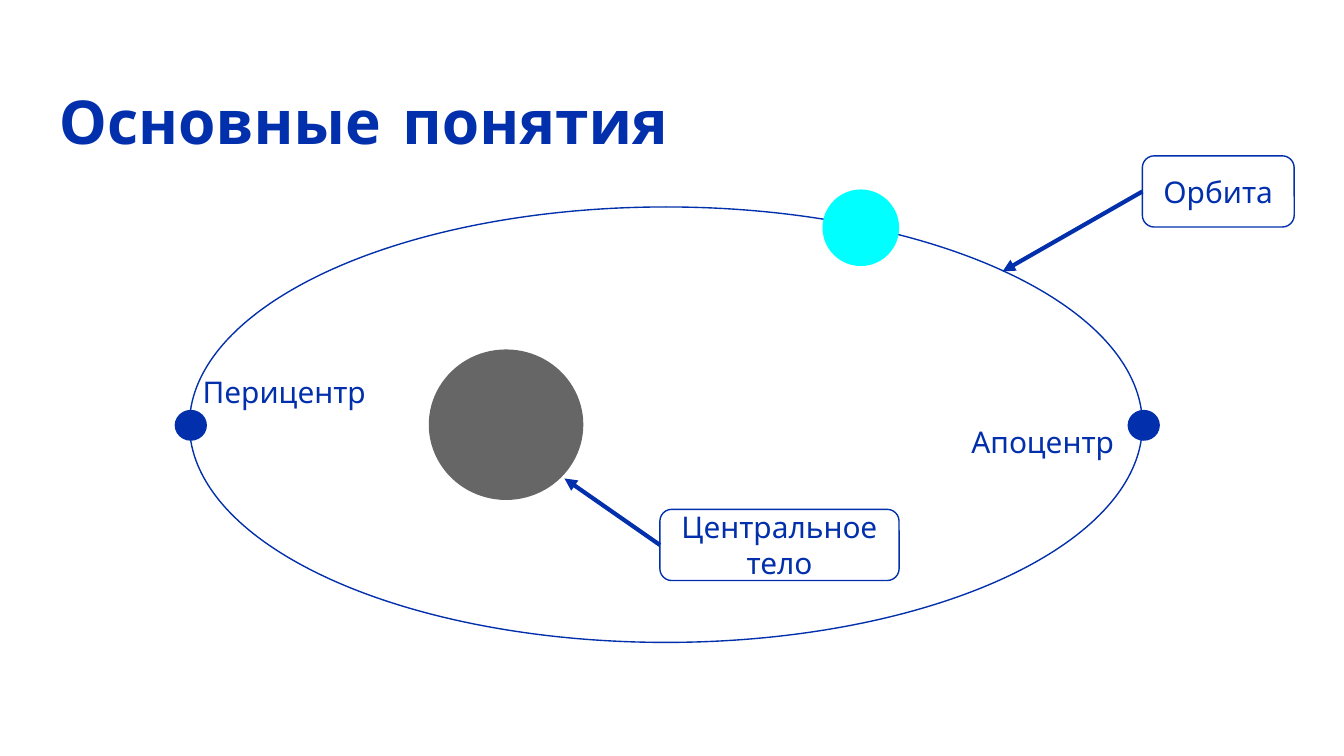
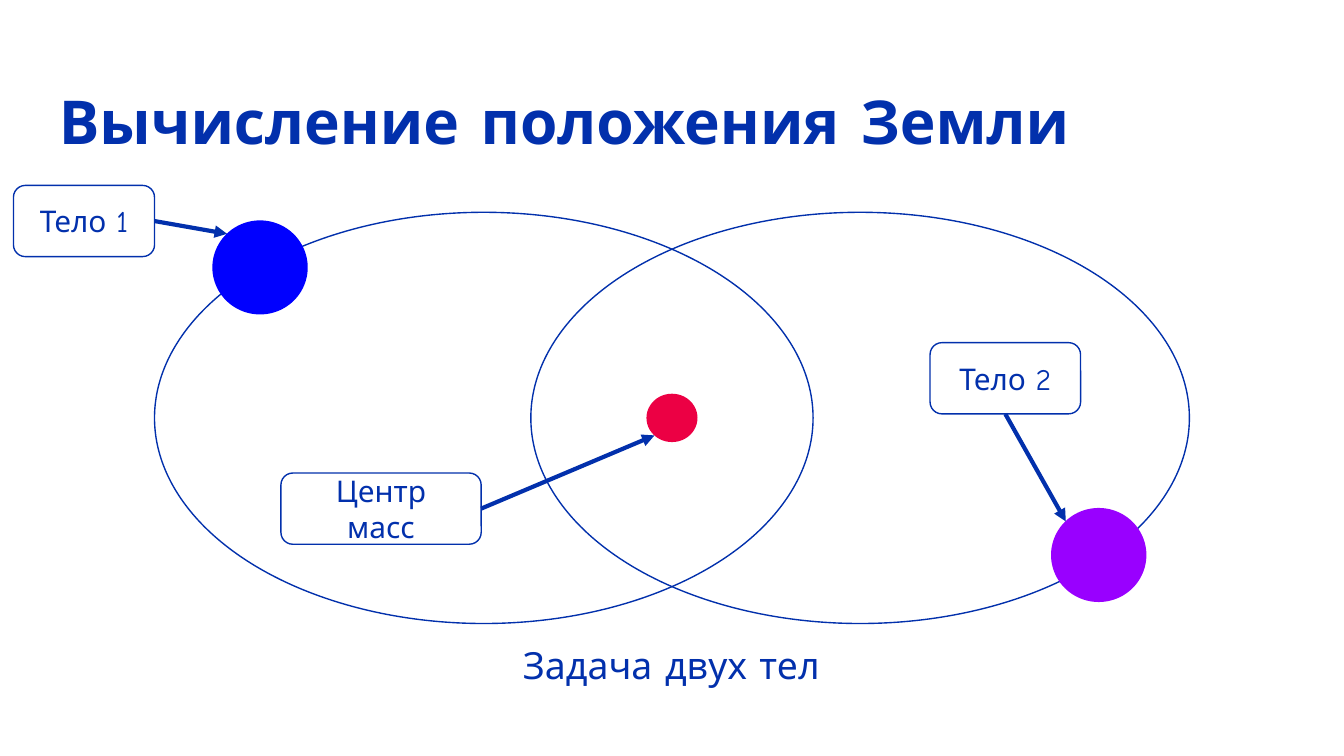
from dataclasses import dataclass
from typing import Optional

from lxml.etree import SubElement
from pptx import Presentation
from pptx.dml.color import RGBColor as RGB
from pptx.enum.shapes import MSO_CONNECTOR as LINK, MSO_SHAPE as SHAPE
from pptx.enum.text import MSO_ANCHOR as ANCHOR, PP_ALIGN as ALIGN
from pptx.oxml.ns import qn
from pptx.shapes.autoshape import Shape
from pptx.slide import Slide
from pptx.text.text import TextFrame
from pptx.util import Inches, Pt

FONT = "Comic Neue"
COLORS = {
    "ink": "0230AC",
    "white": "FFFFFF",
    "gray": "666666",
    "cyan": "00FFFF",
    "red": "EC0044",
    "blue": "0000FF",
    "violet": "9900FF",
}
THIN, THICK = 0.75, 2.25
BOX_H = 0.53
LABEL_H = 0.47
# Connection sites of a rounded rectangle
LEFT, BOTTOM, RIGHT = 1, 2, 3


@dataclass
class Oval:
    x: float
    y: float
    w: float
    h: float
    fill: Optional[str] = None
    line: Optional[str] = None


@dataclass
class Label:
    text: str
    x: float
    y: float
    w: float
    h: float = LABEL_H
    size: float = 16
    bold: bool = False
    align: ALIGN = ALIGN.LEFT
    anchor: ANCHOR = ANCHOR.TOP
    pad: float = 0.1


@dataclass
class Callout:
    """A rounded box with an arrow from one of its sides to a tip."""
    text: str
    x: float
    y: float
    w: float
    side: int
    tip: tuple[float, float]


def color(name: str) -> RGB:
    return RGB.from_string(COLORS[name])


def write(frame: TextFrame, label: Label) -> None:
    frame.word_wrap = True
    frame.vertical_anchor = label.anchor
    frame.margin_left = frame.margin_right = Inches(0.1)
    frame.margin_top = frame.margin_bottom = Inches(label.pad)
    frame.text = label.text
    par = frame.paragraphs[0]
    par.alignment = label.align
    font = par.runs[0].font
    font.name, font.size, font.bold = FONT, Pt(label.size), label.bold
    font.color.rgb = color("ink")


def add_label(slide: Slide, label: Label) -> None:
    box = slide.shapes.add_textbox(
        Inches(label.x), Inches(label.y), Inches(label.w), Inches(label.h))
    write(box.text_frame, label)


def add_form(slide: Slide, kind: SHAPE, item: Oval) -> Shape:
    form = slide.shapes.add_shape(
        kind, Inches(item.x), Inches(item.y), Inches(item.w), Inches(item.h))
    form.shadow.inherit = False
    if item.fill:
        form.fill.solid()
        form.fill.fore_color.rgb = color(item.fill)
    else:
        form.fill.background()
    if item.line:
        form.line.color.rgb = color(item.line)
        form.line.width = Pt(THIN)
    else:
        form.line.fill.background()
    return form


def add_callout(slide: Slide, note: Callout) -> None:
    frame = Oval(note.x, note.y, note.w, BOX_H, "white", "ink")
    box = add_form(slide, SHAPE.ROUNDED_RECTANGLE, frame)
    write(box.text_frame, Label(note.text, note.x, note.y, note.w, BOX_H,
                                align=ALIGN.CENTER, anchor=ANCHOR.MIDDLE))
    tip = [Inches(part) for part in note.tip]
    arrow = slide.shapes.add_connector(LINK.STRAIGHT, box.left, box.top, *tip)
    arrow.begin_connect(box, note.side)
    arrow.line.color.rgb = color("ink")
    arrow.line.width = Pt(THICK)
    SubElement(arrow.line._get_or_add_ln(), qn("a:tailEnd"), type="triangle")
    SubElement(arrow._element.spPr, qn("a:effectLst"))


def add_title(slide: Slide, text: str) -> None:
    add_label(slide, Label(text, 0.34, 0.63, 9.32, 0.53, 32.4, True,
                           anchor=ANCHOR.MIDDLE, pad=0.05))


PAGES = {
    "Основные понятия": [
        Oval(1.41, 1.54, 7.09, 3.24, "white", "ink"),
        Label("Апоцентр", 7.13, 3.05, 1.3),
        Label("Перицентр", 1.41, 2.68, 1.55),
        *[Oval(x, 3.05, 0.24, 0.23, "ink") for x in (8.39, 1.3)],
        Callout("Орбита", 8.5, 1.16, 1.13, LEFT, (7.46, 2.02)),
        Oval(3.19, 2.6, 1.15, 1.12, "gray"),
        Oval(6.12, 1.41, 0.57, 0.57, "cyan"),
        Callout("Центральное тело", 4.91, 3.79, 1.78, LEFT, (4.2, 3.56)),
    ],
    "Вычисление положения Земли": [
        *[Oval(x, 1.58, 4.9, 3.06, line="ink") for x in (1.15, 3.95)],
        Oval(4.81, 2.93, 0.38, 0.36, "red"),
        Oval(1.58, 1.64, 0.71, 0.7, "blue"),
        Oval(7.82, 3.78, 0.71, 0.7, "violet"),
        Callout("Центр масс", 2.09, 3.52, 1.49, RIGHT, (4.87, 3.24)),
        Callout("Тело 1", 0.1, 1.38, 1.05, RIGHT, (1.69, 1.74)),
        Callout("Тело 2", 6.92, 2.55, 1.12, BOTTOM, (7.93, 3.88)),
        Label("Задача двух тел", 3.55, 4.71, 2.89, size=20,
              align=ALIGN.CENTER, anchor=ANCHOR.MIDDLE),
    ],
}


def main() -> None:
    deck = Presentation()
    deck.slide_width = Inches(10)
    deck.slide_height = Inches(10) * 9 // 16
    for title, items in PAGES.items():
        slide = deck.slides.add_slide(deck.slide_layouts[6])
        add_title(slide, title)
        for item in items:
            if isinstance(item, Oval):
                add_form(slide, SHAPE.OVAL, item)
            elif isinstance(item, Label):
                add_label(slide, item)
            else:
                add_callout(slide, item)
    deck.save("out.pptx")


if __name__ == "__main__":
    main()
